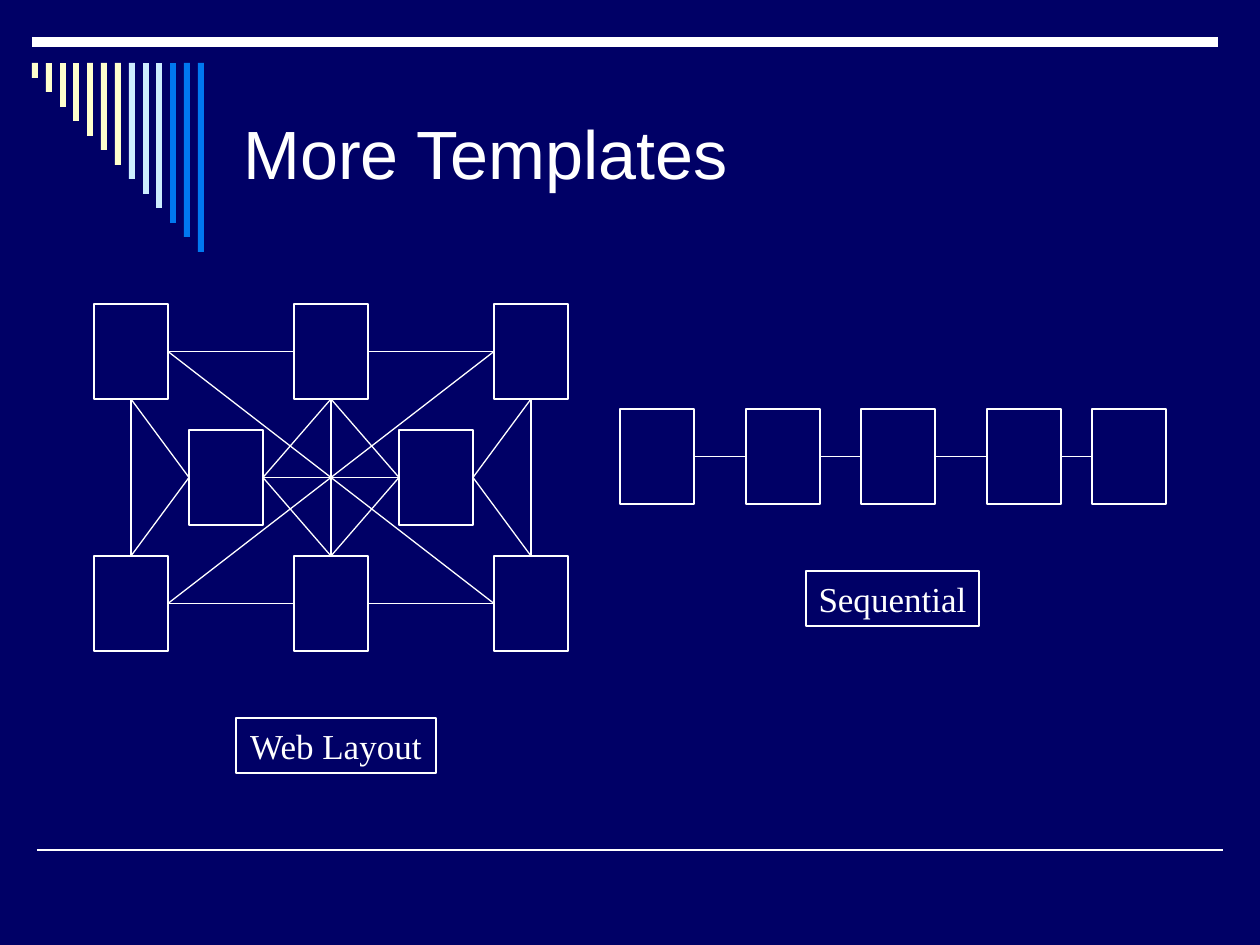
"""Build the "More Templates" slide showing web and sequential page layouts."""
from enum import IntEnum
from itertools import pairwise
from typing import NamedTuple

from lxml.etree import SubElement
from pptx import Presentation
from pptx.dml.color import RGBColor
from pptx.enum.shapes import MSO_CONNECTOR, MSO_SHAPE
from pptx.enum.text import MSO_ANCHOR, PP_ALIGN
from pptx.oxml.ns import qn
from pptx.shapes.autoshape import Shape
from pptx.shapes.connector import Connector
from pptx.shapes.shapetree import SlideShapes
from pptx.util import Emu, Pt

PX_PER_INCH = 126
COLORS = {
    "background": "000066",
    "foreground": "FFFFFF",
    "cream": "FFFFCC",
    "pale_blue": "CCECFF",
    "blue": "0078F0",
}
BAR_COLORS = ["cream"] * 7 + ["pale_blue"] * 3 + ["blue"] * 3
PAGE_WIDTH, PAGE_HEIGHT = 74, 95


class Side(IntEnum):
    TOP = 0
    LEFT = 1
    BOTTOM = 2
    RIGHT = 3


class Box(NamedTuple):
    left: int
    top: int
    width: int
    height: int


class Link(NamedTuple):
    start: str
    start_side: Side
    end: str
    end_side: Side


class Caption(NamedTuple):
    text: str
    box: Box


WEB_PAGES = {
    "top_left": (94, 304),
    "top_middle": (294, 304),
    "top_right": (494, 304),
    "inner_left": (189, 430),
    "inner_right": (399, 430),
    "bottom_left": (94, 556),
    "bottom_middle": (294, 556),
    "bottom_right": (494, 556),
}
COLUMNS = ("left", "middle", "right")
WEB_LINKS = [
    *(Link(f"top_{column}", Side.BOTTOM, f"bottom_{column}", Side.TOP) for column in COLUMNS),
    *(
        Link(f"{row}_{first}", Side.RIGHT, f"{row}_{second}", Side.LEFT)
        for row in ("top", "bottom")
        for first, second in pairwise(COLUMNS)
    ),
    Link("inner_left", Side.RIGHT, "inner_right", Side.LEFT),
    *(
        Link(f"{row}_{column}", side, f"inner_{inner}", inner_side)
        for row, side in (("top", Side.BOTTOM), ("bottom", Side.TOP))
        for column, inner, inner_side in (
            ("left", "left", Side.LEFT),
            ("middle", "left", Side.RIGHT),
            ("middle", "right", Side.LEFT),
            ("right", "right", Side.RIGHT),
        )
    ),
    Link("bottom_left", Side.RIGHT, "top_right", Side.LEFT),
    Link("top_left", Side.RIGHT, "bottom_right", Side.LEFT),
]
SEQUENCE_LEFTS = (620, 746, 861, 987, 1092)
SEQUENCE_TOP = 409
CAPTIONS = [
    Caption("Web Layout", Box(236, 718, 200, 55)),
    Caption("Sequential", Box(806, 571, 173, 55)),
]


def px(length: int) -> Emu:
    return Emu(round(length * 914400 / PX_PER_INCH))


def color(name: str) -> RGBColor:
    return RGBColor.from_string(COLORS[name])


def draw_line(shapes: SlideShapes, left: int, right: int, y: int, weight: float) -> Connector:
    line = shapes.add_connector(MSO_CONNECTOR.STRAIGHT, px(left), px(y), px(right), px(y))
    line.line.color.rgb = color("foreground")
    line.line.width = Pt(weight)
    SubElement(line._element.spPr, qn("a:effectLst"))
    return line


def draw_link(shapes: SlideShapes, start: Shape, start_side: Side, end: Shape, end_side: Side) -> None:
    link = draw_line(shapes, 0, 0, 0, 0.75)
    link.begin_connect(start, start_side)
    link.end_connect(end, end_side)


def draw_bar(shapes: SlideShapes, box: Box, fill: str) -> None:
    bar = shapes.add_shape(MSO_SHAPE.RECTANGLE, *map(px, box))
    bar.shadow.inherit = False
    bar.fill.solid()
    bar.fill.fore_color.rgb = color(fill)
    bar.line.fill.background()


def draw_outline(shapes: SlideShapes, preset: MSO_SHAPE, box: Box) -> Shape:
    outline = shapes.add_shape(preset, *map(px, box))
    outline.shadow.inherit = False
    outline.fill.background()
    outline.line.color.rgb = color("foreground")
    outline.line.width = Pt(0.75)
    return outline


def draw_page(shapes: SlideShapes, left: int, top: int) -> Shape:
    return draw_outline(shapes, MSO_SHAPE.FLOWCHART_PROCESS, Box(left, top, PAGE_WIDTH, PAGE_HEIGHT))


def write_text(holder: Shape, text: str, font: str, size: int, align: PP_ALIGN, wrap: bool) -> None:
    frame = holder.text_frame
    frame.word_wrap = wrap
    frame.vertical_anchor = MSO_ANCHOR.MIDDLE
    paragraph = frame.paragraphs[0]
    paragraph.text = text
    paragraph.alignment = align
    paragraph.font.name = font
    paragraph.font.size = Pt(size)
    paragraph.font.color.rgb = color("foreground")


def main() -> None:
    deck = Presentation()
    deck.slide_width, deck.slide_height = px(1260), px(945)
    slide = deck.slides.add_slide(deck.slide_layouts[6])
    slide.background.fill.solid()
    slide.background.fill.fore_color.rgb = color("background")
    shapes = slide.shapes

    draw_line(shapes, 37, 1223, 850, 1)
    draw_line(shapes, 32, 1218, 42, 6)
    for index, fill in enumerate(BAR_COLORS):
        bar_height = round(189 * (index + 1) / len(BAR_COLORS))
        draw_bar(shapes, Box(32 + round(index * 13.83), 63, 6, bar_height), fill)

    title = shapes.add_textbox(*map(px, Box(231, 63, 966, 179)))
    write_text(title, "More Templates", "Arial", 39, PP_ALIGN.LEFT, True)

    web = {name: draw_page(shapes, *corner) for name, corner in WEB_PAGES.items()}
    for link in WEB_LINKS:
        draw_link(shapes, web[link.start], link.start_side, web[link.end], link.end_side)

    sequence = [draw_page(shapes, left, SEQUENCE_TOP) for left in SEQUENCE_LEFTS]
    for current, following in pairwise(sequence):
        draw_link(shapes, current, Side.RIGHT, following, Side.LEFT)

    for caption in CAPTIONS:
        label = draw_outline(shapes, MSO_SHAPE.RECTANGLE, caption.box)
        write_text(label, caption.text, "Times New Roman", 20, PP_ALIGN.CENTER, False)

    deck.save("out.pptx")


if __name__ == "__main__":
    main()
